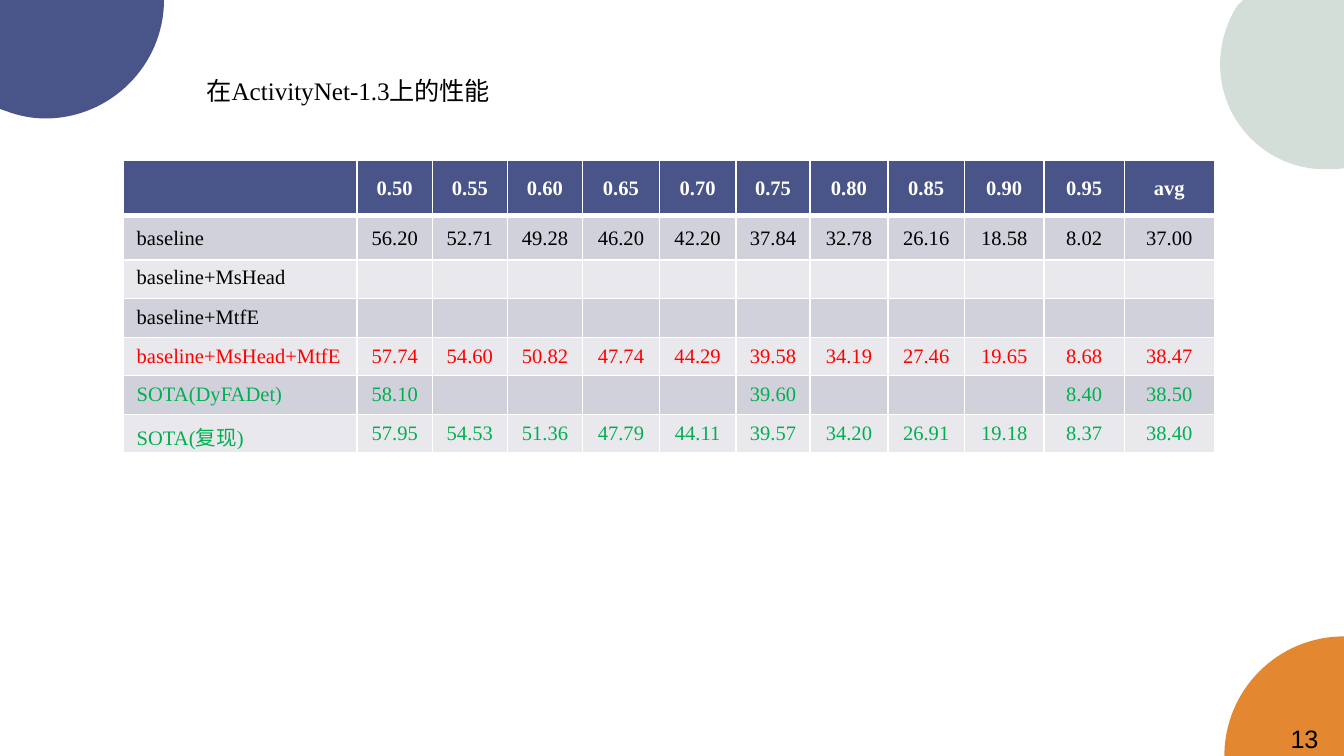
from lxml import etree
from pptx import Presentation
from pptx.dml.color import RGBColor
from pptx.enum.text import MSO_ANCHOR, MSO_AUTO_SIZE, PP_ALIGN
from pptx.oxml.ns import qn
from pptx.util import Cm, Pt

LEFT, CENTER = PP_ALIGN.LEFT, PP_ALIGN.CENTER
TOP, MIDDLE = MSO_ANCHOR.TOP, MSO_ANCHOR.MIDDLE
NO_AUTOFIT = MSO_AUTO_SIZE.NONE

COLORS = {
    "navy": "495589",
    "orange": "E38730",
    "sage": "D3DED8",
    "band_dark": "D0D1DA",
    "band_light": "E9E9ED",
    "white": "FFFFFF",
    "black": "000000",
    "red": "FF0000",
    "green": "00B050",
}
SERIF, SANS = "Times New Roman", "Arial"
SLIDE_WIDTH, SLIDE_HEIGHT = 25.4, 14.29

TITLE = "在ActivityNet-1.3上的性能"
PAGE_NUMBER = "13"
CORNER_DISCS = [
    ("navy", (0, 0), [
        [(3.1, 0)],
        [(3.1, 1.24), (2.08, 2.24), (0.86, 2.24)],
        [(0.63, 2.24), (0.41, 2.2), (0.2, 2.13)],
        [(0, 2.06)],
    ]),
    ("orange", (25.4, 12.03), [
        [(24.15, 12.03), (23.14, 13.04), (23.14, 14.29)],
        [(25.4, 14.29)],
    ]),
    ("sage", (23.5, 0), [
        [(25.4, 0)],
        [(25.4, 3.18)],
        [(25.25, 3.2)],
        [(25.18, 3.2), (25.11, 3.2), (25.04, 3.2)],
        [(23.95, 3.2), (23.06, 2.31), (23.06, 1.22)],
        [(23.06, 0.81), (23.18, 0.43), (23.39, 0.1)],
    ]),
]
BLANK = [""] * 11
RESULTS = [
    ("", "white", "0.50 0.55 0.60 0.65 0.70 0.75 0.80 0.85 0.90 0.95 avg".split()),
    ("baseline", "black",
     "56.20 52.71 49.28 46.20 42.20 37.84 32.78 26.16 18.58 8.02 37.00".split()),
    ("baseline+MsHead", "black", BLANK),
    ("baseline+MtfE", "black", BLANK),
    ("baseline+MsHead+MtfE", "red",
     "57.74 54.60 50.82 47.74 44.29 39.58 34.19 27.46 19.65 8.68 38.47".split()),
    ("SOTA(DyFADet)", "green",
     ["58.10", "", "", "", "", "39.60", "", "", "", "8.40", "38.50"]),
    ("SOTA(复现)", "green",
     "57.95 54.53 51.36 47.79 44.11 39.57 34.20 26.91 19.18 8.37 38.40".split()),
]
COLUMN_WIDTHS = [4.42, 1.42, 1.42, 1.42, 1.45, 1.45, 1.4, 1.47, 1.45, 1.5, 1.52, 1.7]
ROW_HEIGHTS = [1.06, 0.83] + [0.72] * 5


def rgb(name):
    return RGBColor.from_string(COLORS[name])


def write(frame, text, size, font, color, align=LEFT, bold=False):
    frame.text = text
    paragraph = frame.paragraphs[0]
    paragraph.alignment = align
    for run in paragraph.runs:
        run.font.size = Pt(size)
        run.font.name = font
        run.font.bold = bold
        run.font.color.rgb = rgb(color)
    return paragraph


def add_disc(slide, color, start, segments):
    builder = slide.shapes.build_freeform(Cm(start[0]), Cm(start[1]))
    builder.add_line_segments(
        [(Cm(x), Cm(y)) for segment in segments for x, y in segment], close=True)
    disc = builder.convert_to_shape()
    lines = iter(list(disc._element.iter(qn("a:lnTo"))))
    for segment in segments:
        steps = [next(lines) for _ in segment]
        if len(steps) == 3:
            curve = etree.Element(qn("a:cubicBezTo"))
            steps[0].addprevious(curve)
            for step in steps:
                curve.append(step[0])
                step.getparent().remove(step)
    disc.shadow.inherit = False
    disc.fill.solid()
    disc.fill.fore_color.rgb = rgb(color)
    disc.line.fill.background()


def add_borders(cell, top, bottom):
    properties = cell._tc.get_or_add_tcPr()
    for side, width in (("L", 1), ("R", 1), ("T", top), ("B", bottom)):
        line = etree.SubElement(properties, qn(f"a:ln{side}"), w=str(Pt(width)))
        solid = etree.SubElement(line, qn("a:solidFill"))
        etree.SubElement(solid, qn("a:srgbClr"), val=COLORS["white"])


def add_results(slide):
    table = slide.shapes.add_table(
        len(RESULTS), len(COLUMN_WIDTHS), Cm(2.33), Cm(3.02),
        Cm(sum(COLUMN_WIDTHS)), Cm(sum(ROW_HEIGHTS))).table
    for column, width in zip(table.columns, COLUMN_WIDTHS):
        column.width = Cm(width)
    for row, height in zip(table.rows, ROW_HEIGHTS):
        row.height = Cm(height)
    for row_index, (method, color, scores) in enumerate(RESULTS):
        header = row_index == 0
        band = "navy" if header else ("band_light", "band_dark")[row_index % 2]
        for column_index, text in enumerate([method] + scores):
            cell = table.cell(row_index, column_index)
            add_borders(cell, 3 if row_index == 1 else 1, 3 if header else 1)
            cell.fill.solid()
            cell.fill.fore_color.rgb = rgb(band)
            cell.vertical_anchor = TOP if row_index == 2 else MIDDLE
            align = CENTER if column_index else LEFT
            paragraph = write(cell.text_frame, text, 11, SERIF, color, align, header)
            if row_index < 2:
                paragraph.line_spacing = 1.1
            if not text:
                etree.SubElement(paragraph._p, qn("a:endParaRPr"), sz="1100")
    table.cell(len(RESULTS) - 1, 0).margin_bottom = 0


def main():
    deck = Presentation()
    deck.slide_width, deck.slide_height = Cm(SLIDE_WIDTH), Cm(SLIDE_HEIGHT)
    slide = deck.slides.add_slide(deck.slide_layouts[5])

    for color, start, segments in CORNER_DISCS:
        add_disc(slide, color, start, segments)

    title = slide.shapes.title
    title.left, title.top, title.width, title.height = Cm(3.65), Cm(1.3), Cm(8.46), Cm(0.84)
    title.text_frame.auto_size = NO_AUTOFIT
    title.text_frame.vertical_anchor = TOP
    write(title.text_frame, TITLE, 13.5, SERIF, "black")

    add_results(slide)

    page = slide.shapes.add_textbox(Cm(24.14), Cm(13.54), Cm(1.14), Cm(0.84))
    page.text_frame.word_wrap = True
    write(page.text_frame, PAGE_NUMBER, 13.5, SANS, "black")

    deck.save("out.pptx")


if __name__ == "__main__":
    main()
